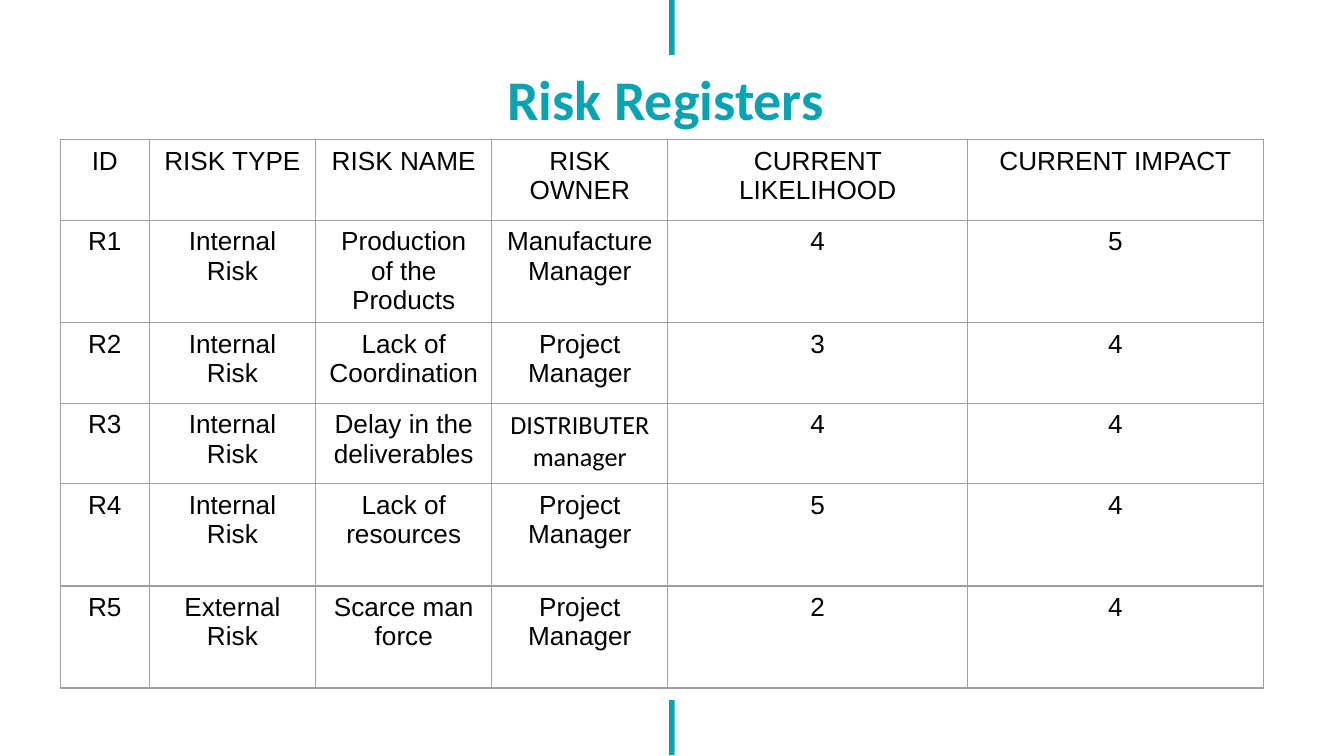
from lxml import etree
from pptx import Presentation
from pptx import util as u
from pptx.dml.color import RGBColor
from pptx.enum import shapes, text
from pptx.oxml.ns import qn

TEAL = "07A3B2"
BLACK = "000000"
GREY = "9E9E9E"

COLUMNS = [0.66, 1.24, 1.31, 1.31, 2.23, 2.2]
ROWS = [0.6, 0.76, 0.6, 0.6, 0.76, 0.76]
RISKS = [
    ["ID", "RISK TYPE", "RISK NAME", "RISK OWNER", "CURRENT LIKELIHOOD", "CURRENT IMPACT"],
    ["R1", "Internal Risk", "Production of the Products", "Manufacture Manager", "4", "5"],
    ["R2", "Internal Risk", "Lack of Coordination", "Project\nManager", "3", "4"],
    ["R3", "Internal Risk", "Delay in the deliverables", "DISTRIBUTER\nmanager", "4", "4"],
    ["R4", "Internal Risk", "Lack of resources", "Project\nManager", "5", "4"],
    ["R5", "External Risk", "Scarce man force", "Project\nManager", "2", "4"],
]


def rgb(color):
    return RGBColor.from_string(color)


def format_text(tf, font, size, color, bold=False):
    for p in tf.paragraphs:
        p.alignment = text.PP_ALIGN.CENTER
        p.font.name = font
        p.font.size = u.Pt(size)
        p.font.bold = bold
        p.font.color.rgb = rgb(color)


def add_bar(s, x, y, w, h):
    sp = s.shapes.add_shape(shapes.MSO_SHAPE.RECTANGLE,
                            u.Inches(x), u.Inches(y), u.Inches(w), u.Inches(h))
    sp.shadow.inherit = False
    sp.fill.solid()
    sp.fill.fore_color.rgb = rgb(TEAL)
    sp.line.fill.background()


def place_title(s, x, y, w, h):
    sp = s.shapes.title
    sp.left, sp.top, sp.width, sp.height = map(u.Inches, (x, y, w, h))
    tf = sp.text_frame
    tf.text = "Risk Registers "
    tf.auto_size = text.MSO_AUTO_SIZE.NONE
    tf.vertical_anchor = text.MSO_ANCHOR.TOP
    tf.margin_left = tf.margin_right = tf.margin_top = tf.margin_bottom = u.Inches(0.1)
    format_text(tf, "Calibri", 30, TEAL, bold=True)


def set_borders(cell, color, width):
    tcPr = cell._tc.get_or_add_tcPr()
    for i, side in enumerate(("a:lnL", "a:lnR", "a:lnT", "a:lnB")):
        ln = etree.Element(qn(side), w=str(u.Pt(width)))
        fill = etree.SubElement(ln, qn("a:solidFill"))
        etree.SubElement(fill, qn("a:srgbClr"), val=color)
        tcPr.insert(i, ln)


def add_risk_table(s, x, y):
    table = s.shapes.add_table(len(ROWS), len(COLUMNS), u.Inches(x), u.Inches(y),
                               u.Inches(sum(COLUMNS)), u.Inches(sum(ROWS))).table
    table.first_row = table.horz_banding = False
    for column, width in zip(table.columns, COLUMNS):
        column.width = u.Inches(width)
    for row, height, values in zip(table.rows, ROWS, RISKS):
        row.height = u.Inches(height)
        for cell, value in zip(row.cells, values):
            cell.text = value
            font = "Calibri" if value.startswith("DISTRIBUTER") else "Arial"
            format_text(cell.text_frame, font, 14, BLACK)
            cell.fill.background()
            set_borders(cell, GREY, 0.75)


def main():
    prs = Presentation()
    prs.slide_width = u.Inches(10)
    prs.slide_height = prs.slide_width * 9 // 16
    s = prs.slides.add_slide(prs.slide_layouts[5])
    for y in (0, 5.21):
        add_bar(s, 4.98, y, 0.04, 0.41)
    place_title(s, 0.96, 0.38, 8.08, 0.66)
    add_risk_table(s, 0.45, 1.04)
    prs.save("out.pptx")


if __name__ == "__main__":
    main()
